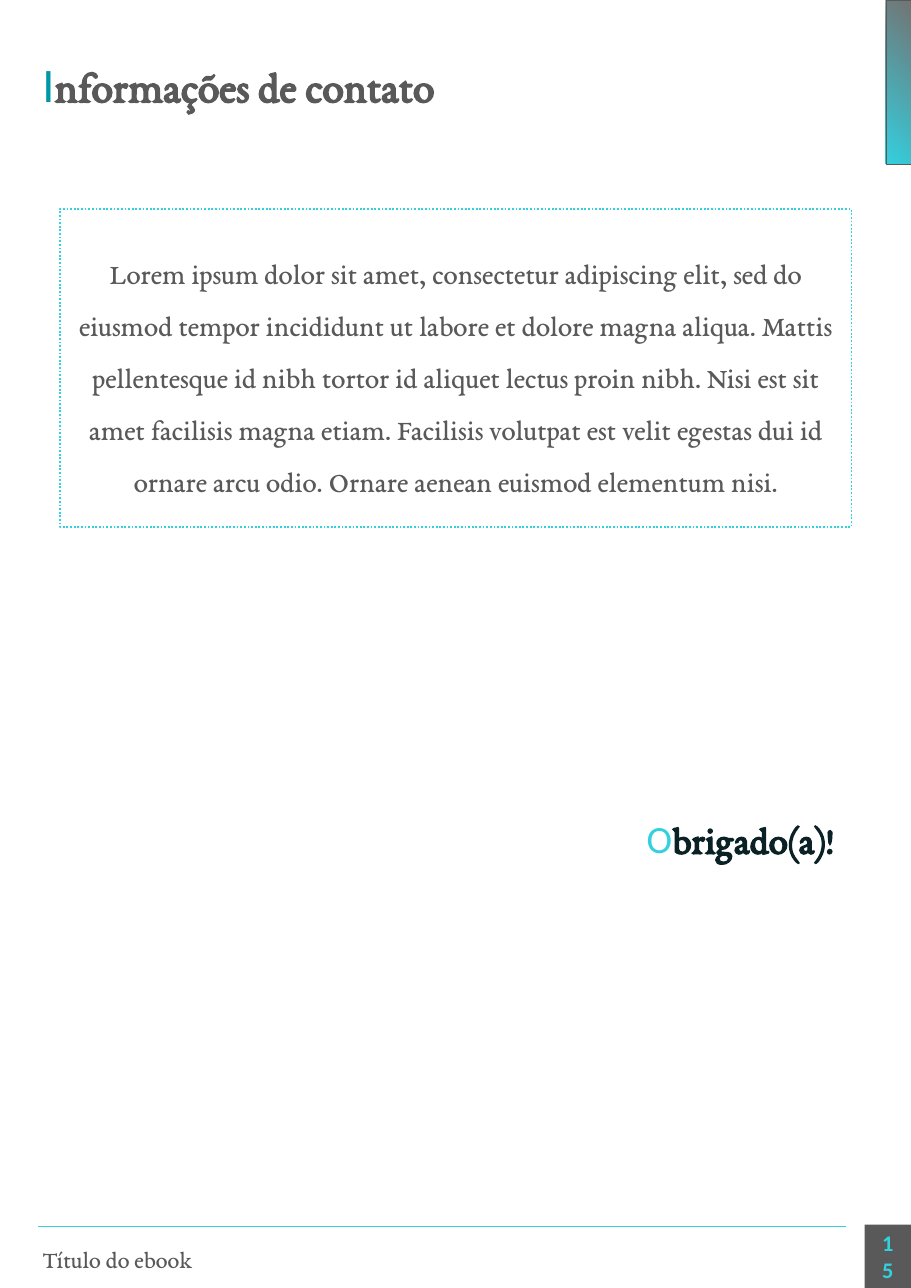
from lxml import etree
from pptx import Presentation
from pptx.dml.color import RGBColor
from pptx.enum.dml import MSO_LINE
from pptx.enum.shapes import MSO_CONNECTOR, MSO_SHAPE
from pptx.enum.text import MSO_ANCHOR, PP_ALIGN
from pptx.oxml.ns import qn
from pptx.util import Pt

PX = 9144  # EMU per px, 100 px to the inch
PAGE_WIDTH, PAGE_HEIGHT = 2100, 2970
MARGIN = 88
FOOTER_TOP = 2824
FOOTER_HEIGHT = PAGE_HEIGHT - FOOTER_TOP

CYAN = RGBColor(0x33, 0xD0, 0xDF)
TEAL = RGBColor(0x00, 0x97, 0xA7)
DARK_GRAY = RGBColor(0x59, 0x59, 0x59)
MID_GRAY = RGBColor(0x73, 0x73, 0x73)
INK = RGBColor(0x0A, 0x21, 0x26)

SANS, SERIF = "Calibri", "EB Garamond"
LEFT, CENTER, RIGHT = PP_ALIGN.LEFT, PP_ALIGN.CENTER, PP_ALIGN.RIGHT
TOP, MIDDLE = MSO_ANCHOR.TOP, MSO_ANCHOR.MIDDLE
DOTTED = MSO_LINE.ROUND_DOT
RECTANGLE = MSO_SHAPE.RECTANGLE
STRAIGHT = MSO_CONNECTOR.STRAIGHT

CONTACT_TEXT = (
    "Lorem ipsum dolor sit amet, consectetur adipiscing elit, sed do eiusmod "
    "tempor incididunt ut labore et dolore magna aliqua. Mattis pellentesque id "
    "nibh tortor id aliquet lectus proin nibh. Nisi est sit amet facilisis magna "
    "etiam. Facilisis volutpat est velit egestas dui id ornare arcu odio. Ornare "
    "aenean euismod elementum nisi."
)


def emu(*lengths):
    return [length * PX for length in lengths]


def write(shape, text, *, size, font=SERIF, color=DARK_GRAY, bold=False,
          align=LEFT, anchor=TOP, inset=10, spacing=1.15, after=0, initial=None):
    """Fill a shape with one paragraph; initial holds (letter, size, color)."""
    frame = shape.text_frame
    frame.word_wrap = True
    frame.vertical_anchor = anchor
    frame.margin_left = frame.margin_right = inset * PX
    frame.margin_top = frame.margin_bottom = inset * PX
    paragraph = frame.paragraphs[0]
    paragraph.alignment = align
    paragraph.line_spacing = spacing
    paragraph.space_after = Pt(after)
    pieces = [(text, size, font, color, bold)]
    if initial:
        letter, letter_size, letter_color = initial
        pieces.insert(0, (letter, letter_size, SANS, letter_color, False))
    for words, points, face, tint, heavy in pieces:
        run = paragraph.add_run()
        run.text = words
        run.font.size = Pt(points)
        run.font.name = face
        run.font.color.rgb = tint
        run.font.bold = heavy


def add_label(slide, box, text, **text_format):
    write(slide.shapes.add_textbox(*emu(*box)), text, **text_format)


def add_box(slide, box, *, fill=None, line=None, width=0, dash=None):
    shape = slide.shapes.add_shape(RECTANGLE, *emu(*box))
    shape.shadow.inherit = False
    if fill is None:
        shape.fill.background()
    else:
        shape.fill.solid()
        shape.fill.fore_color.rgb = fill
    if line is None:
        shape.line.fill.background()
    else:
        shape.line.color.rgb = line
        shape.line.width = Pt(width)
        shape.line.dash_style = dash
    return shape


def apply_corner_gradient(shape, inner, outer):
    """Spread a circular gradient from the bottom left corner."""
    shape.fill.gradient()
    for stop, color in zip(shape.fill.gradient_stops, (inner, outer)):
        stop.color.rgb = color
    gradient = shape._element.spPr.find(qn("a:gradFill"))
    linear = gradient.find(qn("a:lin"))
    circle = etree.Element(qn("a:path"), path="circle")
    etree.SubElement(circle, qn("a:fillToRect"), t="100000", r="100000")
    gradient.replace(linear, circle)


def add_rule(slide, start_x, end_x, y, color, width):
    rule = slide.shapes.add_connector(STRAIGHT, *emu(start_x, y, end_x, y))
    rule.line.color.rgb = color
    rule.line.width = Pt(width)
    etree.SubElement(rule._element.spPr, qn("a:effectLst"))


def main():
    deck = Presentation()
    deck.slide_width, deck.slide_height = emu(PAGE_WIDTH, PAGE_HEIGHT)
    slide = deck.slides.add_slide(deck.slide_layouts[6])

    page_number = add_box(slide, (1993, FOOTER_TOP, 107, FOOTER_HEIGHT), fill=DARK_GRAY)
    write(page_number, "15", size=37, font=SANS, color=CYAN, bold=True,
          align=CENTER, anchor=MIDDLE, inset=32, spacing=1.0)

    corner_tab = add_box(slide, (2042, 0, 58, 378), line=DARK_GRAY, width=0.75)
    apply_corner_gradient(corner_tab, CYAN, MID_GRAY)
    add_rule(slide, MARGIN, 1951, 2828, CYAN, 3)

    contact_box = add_box(slide, (138, 482, 1825, 733), line=CYAN, width=3, dash=DOTTED)
    write(contact_box, CONTACT_TEXT, size=48, align=CENTER, anchor=MIDDLE,
          spacing=1.5, after=21)

    add_label(slide, (MARGIN, FOOTER_TOP, 1925, FOOTER_HEIGHT), "Título do ebook",
              size=40, anchor=MIDDLE)
    add_label(slide, (MARGIN, 95, 1708, 188), "nformações de contato",
              size=72, bold=True, initial=("I", 80, TEAL))
    add_label(slide, (1438, 1854, 494, 188), "brigado(a)!", size=64, color=INK,
              bold=True, align=RIGHT, initial=("O", 64, CYAN))

    deck.save("out.pptx")


if __name__ == "__main__":
    main()
